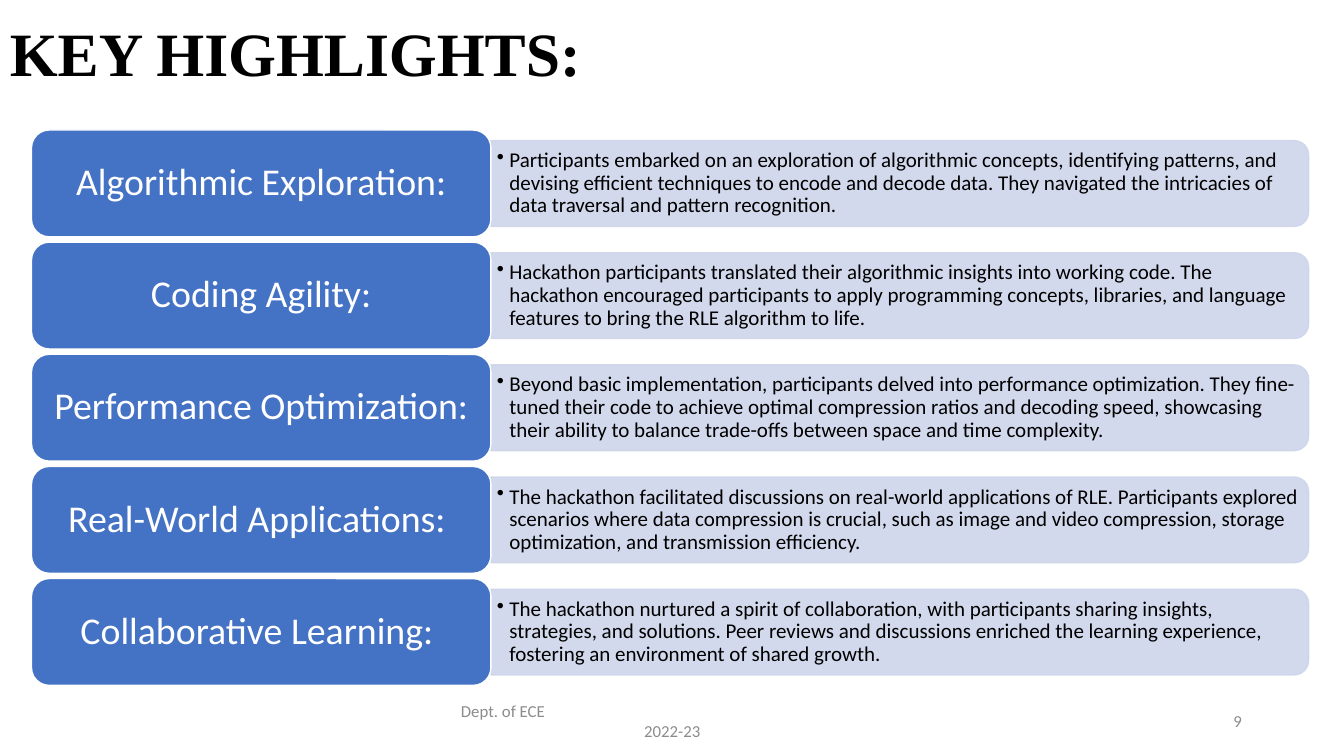
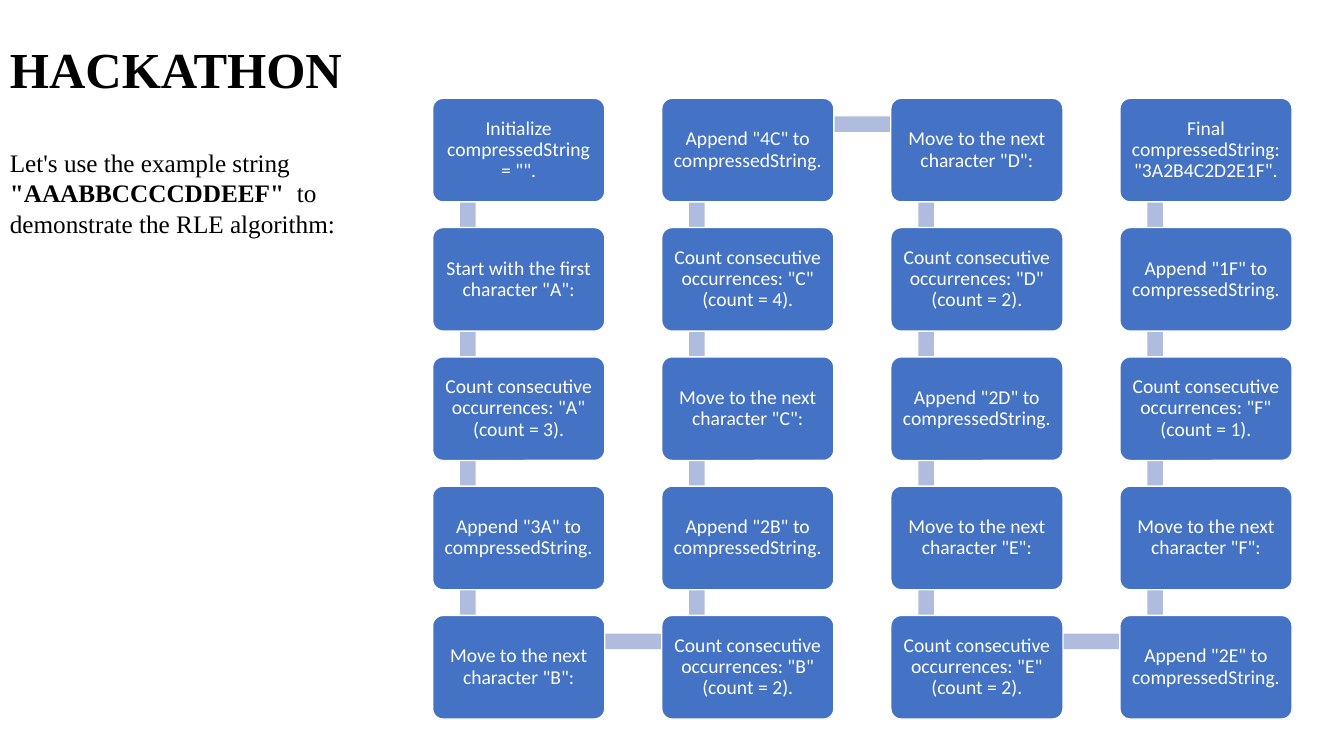
from itertools import groupby

from lxml import etree
from pptx import Presentation
from pptx import util as u
from pptx.dml.color import RGBColor
from pptx.enum import shapes, text
from pptx.oxml import ns

COLOURS = {
    "ink": "000000",
    "white": "FFFFFF",
    "box": "4472C4",
    "band": "CFD5EA",
    "link": "B0BCDE",
    "footer": "8C8C8C",
}
BODY, SERIF = "Calibri", "Times New Roman"
CENTRE, RIGHT = text.PP_ALIGN.CENTER, text.PP_ALIGN.RIGHT
MIDDLE = text.MSO_ANCHOR.MIDDLE
FORMS = shapes.MSO_SHAPE

HIGHLIGHTS = [
    ("Algorithmic Exploration:",
     "Participants embarked on an exploration of algorithmic concepts, identifying patterns, and "
     "devising efficient techniques to encode and decode data. They navigated the intricacies of "
     "data traversal and pattern recognition."),
    ("Coding Agility:",
     "Hackathon participants translated their algorithmic insights into working code. The hackathon "
     "encouraged participants to apply programming concepts, libraries, and language features to "
     "bring the RLE algorithm to life."),
    ("Performance Optimization:",
     "Beyond basic implementation, participants delved into performance optimization. They "
     "fine-tuned their code to achieve optimal compression ratios and decoding speed, showcasing "
     "their ability to balance trade-offs between space and time complexity."),
    ("Real-World Applications: ",
     "The hackathon facilitated discussions on real-world applications of RLE. Participants "
     "explored scenarios where data compression is crucial, such as image and video compression, "
     "storage optimization, and transmission efficiency."),
    ("Collaborative Learning: ",
     "The hackathon nurtured a spirit of collaboration, with participants sharing insights, "
     "strategies, and solutions. Peer reviews and discussions enriched the learning experience, "
     "fostering an environment of shared growth."),
]
EXAMPLE = "AAABBCCCCDDEEF"


def apply(target, values):
    for name, value in values.items():
        setattr(target, name, value)


def colour(name):
    return RGBColor.from_string(COLOURS[name])


def indent(para, left, first=0):
    marks = para._p.get_or_add_pPr()
    for name, value in {"marL": left, "indent": first}.items():
        marks.set(name, str(int(u.Pt(value))))
    return marks


class Slides:
    def __init__(self):
        self.deck = Presentation()
        apply(self.deck, {"slide_width": u.Pt(960), "slide_height": u.Pt(540)})
        self.page = None

    def new_page(self):
        self.page = self.deck.slides.add_slide(self.deck.slide_layouts[6])

    def set_text(self, box, paragraphs, size, ink="ink", font=BODY,
                 insets=(7.2, 3.6), anchor=MIDDLE, **layout):
        frame = box.text_frame
        across, down = (u.Pt(inset) for inset in insets)
        apply(frame, {"word_wrap": True, "vertical_anchor": anchor,
                      "margin_left": across, "margin_right": across,
                      "margin_top": down, "margin_bottom": down})
        for index, spans in enumerate(paragraphs):
            para = frame.add_paragraph() if index else frame.paragraphs[0]
            apply(para, layout)
            for words, bold in spans:
                span = para.add_run()
                span.text = words
                apply(span.font, {"size": u.Pt(size), "name": font, "bold": bold})
                span.font.color.rgb = colour(ink)
        return frame.paragraphs

    def words(self, place, paragraphs, size, **style):
        box = self.page.shapes.add_textbox(*map(u.Pt, place))
        return self.set_text(box, paragraphs, size, **style)

    def title(self, place, words, size):
        self.words(place, [[(words, True)]], size, font=SERIF, line_spacing=0.9)

    def shape(self, form, place, fill, line=None):
        shape = self.page.shapes.add_shape(form, *map(u.Pt, place))
        shape.shadow.inherit = False
        shape.fill.solid()
        shape.fill.fore_color.rgb = colour(fill)
        if line:
            shape.line.color.rgb = colour(line)
            shape.line.width = u.Pt(1)
        else:
            shape.line.fill.background()
        return shape

    def label(self, place, words, size, insets, corner=0.1667):
        box = self.shape(FORMS.ROUNDED_RECTANGLE, place, "box", "white")
        box.adjustments[0] = corner
        self.set_text(box, [[(words, False)]], size, ink="white", insets=insets,
                      alignment=CENTRE, line_spacing=0.9)

    def band(self, left, middle, width, height):
        place = (left + (width - height) / 2, middle - width / 2, height, width)
        band = self.shape(FORMS.ROUND_2_SAME_RECTANGLE, place, "band", "band")
        band.rotation = 90
        for tint in band.element.spPr.iter(ns.qn("a:srgbClr")):
            etree.SubElement(tint, ns.qn("a:alpha"), val="90000")

    def bullet(self, place, words):
        para = self.words(place, [[(words, False)]], 15, insets=(4.2, 2.1), line_spacing=0.9)[0]
        etree.SubElement(indent(para, 9, -9), ns.qn("a:buChar"), char="•")

    def footer(self, department, year, number):
        lines = self.words((318.2, 500.5, 324, 28.8), [[(department, False)], [(year, False)]],
                           12, ink="footer")
        indent(lines[0], 4)
        lines[1].alignment = CENTRE
        self.words((678.2, 500.5, 216, 28.8), [[(number, False)]], 12, ink="footer",
                   alignment=RIGHT)


def highlights(slides):
    left, top, width, height, pitch = 22.5, 92.9, 328.2, 76.3, 80.1
    edge = left + width
    slides.new_page()
    slides.title((0, -11.5, 828, 104.4), "KEY HIGHLIGHTS:", 44)
    for row, (heading, detail) in enumerate(HIGHLIGHTS):
        row_top = top + row * pitch
        middle = row_top + height / 2
        slides.band(edge, middle, 584, 61.2)
        slides.bullet((edge, middle - 27.4, 581, 54.8), detail)
        slides.label((left, row_top, width, height), heading, 27, (7.9, 4.3))
    slides.footer("Dept. of ECE", "2022-23", "9")


def encoding_steps():
    steps = ['Initialize compressedString = "".']
    encoded = ""
    for letter, group in groupby(EXAMPLE):
        count = len(list(group))
        move = "Move to the next" if encoded else "Start with the first"
        encoded += f"{count}{letter}"
        steps += [f'{move} character "{letter}":',
                  f'Count consecutive occurrences: "{letter}" (count = {count}).',
                  f'Append "{count}{letter}" to compressedString.']
    return steps + [f'Final compressedString: "{encoded}".']


def hackathon(slides):
    rows, across, down, bar = 5, 163.65, 92.35, 11.1
    steps = encoding_steps()
    spots = []
    for index in range(len(steps)):
        column, row = divmod(index, rows)
        if column % 2:
            row = rows - 1 - row
        spots.append((309 + column * across, 70.2 + row * down))
    slides.new_page()
    slides.title((0, -0.7, 942, 104.4), "HACKATHON", 36)
    for (x, y), (next_x, next_y) in zip(spots, spots[1:]):
        start_x, start_y = x + 25.2, min(y, next_y) + 18.5
        if x == next_x:
            place = (start_x - bar / 2, start_y, bar, down)
        else:
            place = (start_x, start_y - bar / 2, across, bar)
        slides.shape(FORMS.RECTANGLE, place, "link")
    for (x, y), step in zip(spots, steps):
        slides.label((x, y, 123, 74), step, 14, (4.2, 4.2), corner=0.1)
    slides.words((0, 101, 309.6, 73.2),
                 [[("Let's use the example string ", False), (f'"{EXAMPLE}" ', True),
                   (" to demonstrate the RLE algorithm:", False)]],
                 18, font=SERIF, anchor=text.MSO_ANCHOR.TOP, line_spacing=u.Pt(22))


def main():
    slides = Slides()
    highlights(slides)
    hackathon(slides)
    slides.deck.save("out.pptx")


if __name__ == "__main__":
    main()
